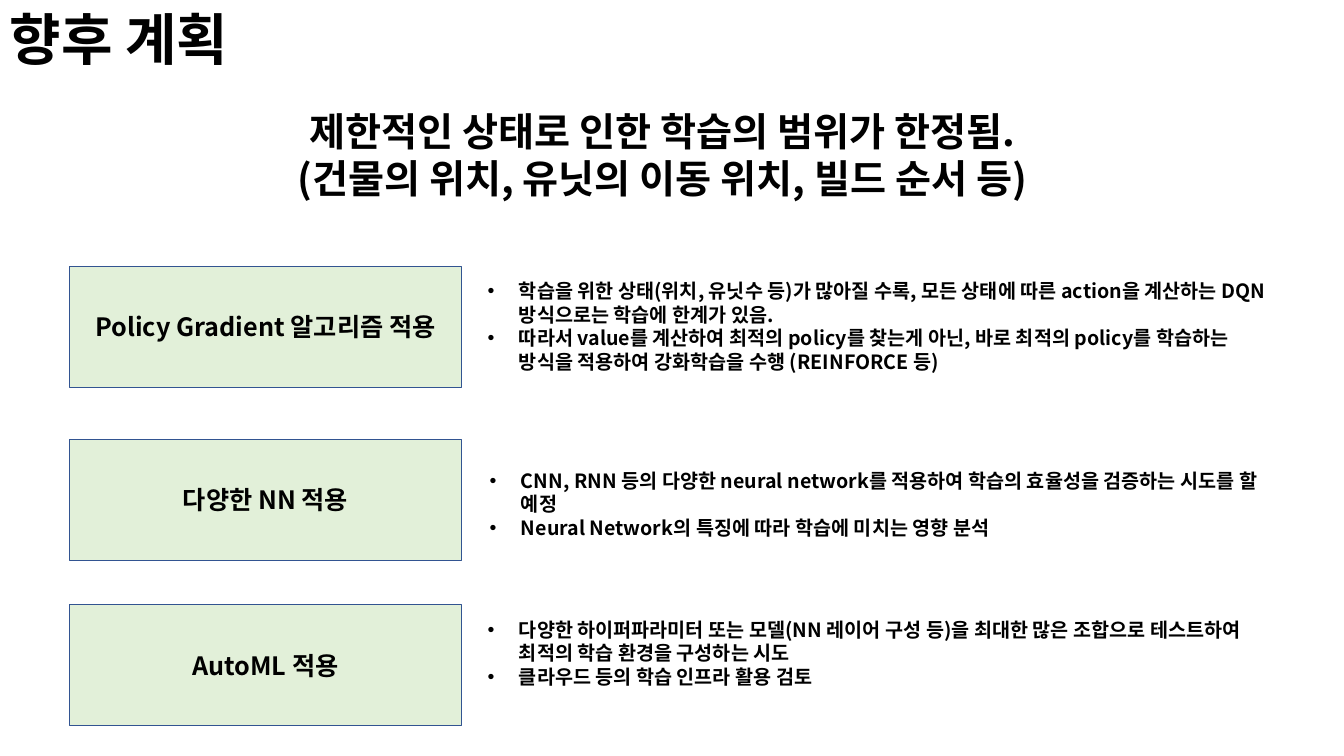
"""Build the slide on future plans for the learning project."""
import pptx
import pptx.dml.color
import pptx.enum.shapes
import pptx.enum.text
import pptx.oxml
import pptx.oxml.ns
import pptx.util

Cm = pptx.util.Cm
FONT = "Noto Sans CJK KR"
CENTER = pptx.enum.text.PP_ALIGN.CENTER
LEFT = pptx.enum.text.PP_ALIGN.LEFT
PAGE_WIDTH = 33.38
PLAN_LEFT, PLAN_WIDTH, PLAN_HEIGHT = 1.75, 9.88, 3.05
DETAIL_WIDTH, BULLET_INDENT = 20.27, 0.79

SUMMARY = [
    "제한적인 상태로 인한 학습의 범위가 한정됨.",
    "(건물의 위치, 유닛의 이동 위치, 빌드 순서 등)",
]
PLANS = [
    ("Policy Gradient 알고리즘 적용", 6.71, (12.04, 6.91, 2.64), [
        "학습을 위한 상태(위치, 유닛수 등)가 많아질 수록, 모든 상태에 따른 "
        "action을 계산하는 DQN 방식으로는 학습에 한계가 있음.",
        "따라서 value를 계산하여 최적의 policy를 찾는게 아닌, 바로 최적의 "
        "policy를 학습하는 방식을 적용하여 강화학습을 수행 (REINFORCE 등)",
    ]),
    ("다양한 NN 적용", 11.07, (12.09, 11.68, 2.06), [
        "CNN, RNN 등의 다양한 neural network를 적용하여 학습의 효율성을 "
        "검증하는 시도를 할 예정",
        "Neural Network의 특징에 따라 학습에 미치는 영향 분석",
    ]),
    ("AutoML 적용", 15.24, (12.04, 15.44, 2.06), [
        "다양한 하이퍼파라미터 또는 모델(NN 레이어 구성 등)을 최대한 많은 "
        "조합으로 테스트하여 최적의 학습 환경을 구성하는 시도",
        "클라우드 등의 학습 인프라 활용 검토",
    ]),
]


def color(value):
    """Turn a hex string into a colour."""
    return pptx.dml.color.RGBColor.from_string(value)


def add_bullet(paragraph):
    """Give a paragraph a round bullet with a hanging indent."""
    properties = paragraph._p.get_or_add_pPr()
    properties.set("marL", str(Cm(BULLET_INDENT)))
    properties.set("indent", str(-Cm(BULLET_INDENT)))
    namespace = pptx.oxml.ns.nsdecls("a")
    for markup in (f'<a:buFont {namespace} typeface="Arial"/>',
                   f'<a:buChar {namespace} char="•"/>'):
        properties.append(pptx.oxml.parse_xml(markup))


def write_lines(shape, lines, size, alignment=LEFT, bulleted=False):
    """Fill a shape with bold black paragraphs."""
    frame = shape.text_frame
    frame.word_wrap = True
    for index, line in enumerate(lines):
        paragraph = frame.add_paragraph() if index else frame.paragraphs[0]
        paragraph.alignment = alignment
        if bulleted:
            add_bullet(paragraph)
        run = paragraph.add_run()
        run.text = line
        run.font.name = FONT
        run.font.size = pptx.util.Pt(size)
        run.font.bold = True
        run.font.color.rgb = color("000000")
        east_asian = pptx.oxml.parse_xml(
            f'<a:ea {pptx.oxml.ns.nsdecls("a")} typeface="{FONT}"/>')
        run.font._element.append(east_asian)


def add_text(slide, box, lines, size, **style):
    """Add a text box whose place is left, top, width and height in cm."""
    shape = slide.shapes.add_textbox(*map(Cm, box))
    write_lines(shape, lines, size, **style)


def add_plan_box(slide, top, label):
    """Add a green box that names one plan."""
    shape = slide.shapes.add_shape(
        pptx.enum.shapes.MSO_SHAPE.RECTANGLE,
        Cm(PLAN_LEFT), Cm(top), Cm(PLAN_WIDTH), Cm(PLAN_HEIGHT))
    shape.shadow.inherit = False
    shape.fill.solid()
    shape.fill.fore_color.rgb = color("E2F0D9")
    shape.line.color.rgb = color("325491")
    shape.line.width = pptx.util.Pt(1)
    shape.text_frame.vertical_anchor = pptx.enum.text.MSO_ANCHOR.MIDDLE
    write_lines(shape, [label], 18, alignment=CENTER)


def main():
    """Build and save the presentation."""
    presentation = pptx.Presentation()
    presentation.slide_width = Cm(33.87)
    presentation.slide_height = Cm(19.05)
    slide = presentation.slides.add_slide(presentation.slide_layouts[6])
    add_text(slide, (0, 0, PAGE_WIDTH, 1.96), ["향후 계획"], 40)
    add_text(slide, (0, 2.59, PAGE_WIDTH, 2.64), SUMMARY, 28, alignment=CENTER)
    for label, top, (left, detail_top, height), details in PLANS:
        add_plan_box(slide, top, label)
        add_text(slide, (left, detail_top, DETAIL_WIDTH, height), details, 14,
                 bulleted=True)
    presentation.save("out.pptx")


main()
